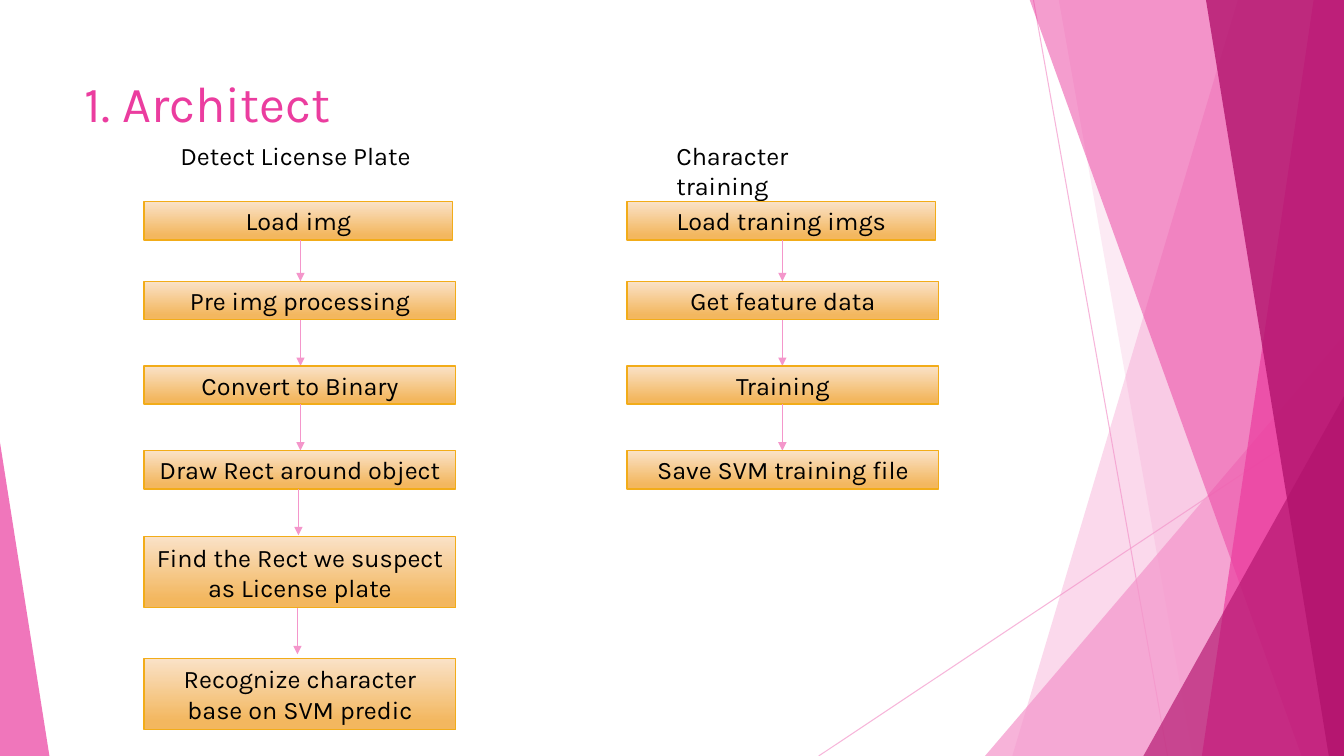
from lxml.etree import SubElement
from pptx import Presentation
from pptx.dml.color import RGBColor
from pptx.enum.shapes import MSO_CONNECTOR, MSO_SHAPE
from pptx.enum.text import MSO_ANCHOR, PP_ALIGN
from pptx.oxml.ns import qn
from pptx.util import Inches, Pt

FONT = "Karla"
COLORS = {
    "text": "000000",
    "pink": "EB3D9F",
    "light_pink": "F496CB",
    "magenta": "B2136D",
    "box_top": "FAE2C8",
    "box_bottom": "F3B75F",
    "box_line": "F2AC19",
}
SLIDE_WIDTH, SLIDE_HEIGHT = 13.33, 7.5
BLEED = -0.01
BOX_HEIGHT, TALL_BOX_HEIGHT = 0.38, 0.71
ARROW_LENGTH = 0.46

# Step: text, top, width, height, offset of the arrow that leaves it
PLATE_STEPS = [
    ("Load img", 2, 3.06, BOX_HEIGHT, 1.55),
    ("Pre img processing", 2.79, 3.09, BOX_HEIGHT, 1.55),
    ("Convert to Binary", 3.63, 3.09, BOX_HEIGHT, 1.55),
    ("Draw Rect around object", 4.47, 3.09, BOX_HEIGHT, 1.53),
    ("Find the Rect we suspect as License plate", 5.32, 3.09, TALL_BOX_HEIGHT, 1.52),
    ("Recognize character base on SVM predic", 6.53, 3.09, TALL_BOX_HEIGHT, None),
]
TRAINING_STEPS = [
    ("Load traning imgs", 2, 3.06, BOX_HEIGHT, 1.54),
    ("Get feature data", 2.79, 3.09, BOX_HEIGHT, 1.54),
    ("Training", 3.63, 3.09, BOX_HEIGHT, 1.54),
    ("Save SVM training file", 4.47, 3.09, BOX_HEIGHT, None),
]


def color(name):
    return RGBColor.from_string(COLORS[name])


def set_alpha(element, percent):
    for color_element in element.iter(qn("a:srgbClr")):
        SubElement(color_element, qn("a:alpha"), val=str(percent * 1000))


def write_text(text_frame, text, size, color_name, alignment=PP_ALIGN.LEFT):
    text_frame.word_wrap = True
    paragraph = text_frame.paragraphs[0]
    paragraph.alignment = alignment
    run = paragraph.add_run()
    run.text = text
    run.font.name = FONT
    run.font.size = Pt(size)
    run.font.color.rgb = color(color_name)


def add_line(slide, start, end, width, alpha=None, arrow=False):
    points = [Inches(value) for value in (*start, *end)]
    line = slide.shapes.add_connector(MSO_CONNECTOR.STRAIGHT, *points)
    line.line.color.rgb = color("light_pink")
    line.line.width = Pt(width)
    properties = line.element.spPr
    if alpha:
        set_alpha(properties, alpha)
    if arrow:
        SubElement(line.line._get_or_add_ln(), qn("a:tailEnd"), type="triangle")
    SubElement(properties, qn("a:effectLst"))


def paint_facet(shape, color_name, alpha):
    shape.shadow.inherit = False
    shape.fill.solid()
    shape.fill.fore_color.rgb = color(color_name)
    set_alpha(shape.element.spPr, alpha)
    shape.line.fill.background()


def add_edge_facet(slide, top_left, bottom_left, color_name, alpha):
    """A facet that reaches from a slanted left side to the right slide edge."""
    builder = slide.shapes.build_freeform(Inches(top_left), Inches(BLEED), scale=1.0)
    corners = [(SLIDE_WIDTH, BLEED), (SLIDE_WIDTH, SLIDE_HEIGHT), (bottom_left, SLIDE_HEIGHT)]
    builder.add_line_segments([(Inches(x), Inches(y)) for x, y in corners], close=True)
    paint_facet(builder.convert_to_shape(), color_name, alpha)


def add_triangle(slide, left, top, width, apex, color_name, alpha):
    """A triangle that stands on the lower slide edge."""
    shape = slide.shapes.add_shape(
        MSO_SHAPE.ISOSCELES_TRIANGLE,
        Inches(left), Inches(top), Inches(width), Inches(SLIDE_HEIGHT - top),
    )
    shape.adjustments[0] = apex
    paint_facet(shape, color_name, alpha)


def add_background(slide):
    add_line(slide, (10.25, 0), (11.58, SLIDE_HEIGHT), 0.75, alpha=70)
    add_line(slide, (SLIDE_WIDTH, 4.03), (8.12, SLIDE_HEIGHT), 0.75, alpha=70)
    add_edge_facet(slide, 12.28, 10.04, "light_pink", 36)
    add_edge_facet(slide, 10.5, 11.83, "light_pink", 20)
    add_triangle(slide, 9.77, 3.33, 3.56, 1, "light_pink", 72)
    add_edge_facet(slide, 10.21, 12.91, "pink", 50)
    add_edge_facet(slide, 13.03, 11.92, "pink", 70)
    add_edge_facet(slide, 11.96, 13.18, "magenta", 80)
    add_triangle(slide, 11.34, 3.93, 1.99, 1, "magenta", 66)
    add_triangle(slide, 0, 4.39, 0.49, 0, "pink", 70)


def add_title(slide, text):
    title = slide.shapes.title
    title.left, title.top = Inches(0.74), Inches(0.67)
    title.width, title.height = Inches(9.4), Inches(1.44)
    title.text_frame.vertical_anchor = MSO_ANCHOR.TOP
    write_text(title.text_frame, text, 36, "pink")


def add_heading(slide, text, left, width):
    box = slide.shapes.add_textbox(Inches(left), Inches(1.34), Inches(width), Inches(0.4))
    write_text(box.text_frame, text, 18, "text")


def add_step(slide, text, left, top, width, height):
    shape = slide.shapes.add_shape(
        MSO_SHAPE.RECTANGLE, Inches(left), Inches(top), Inches(width), Inches(height)
    )
    shape.shadow.inherit = False
    shape.fill.gradient()
    shape.fill.gradient_angle = 270
    stops = [(0, "box_top"), (0.88, "box_bottom")]
    for stop, (position, color_name) in zip(shape.fill.gradient_stops, stops):
        stop.position = position
        stop.color.rgb = color(color_name)
    shape.line.color.rgb = color("box_line")
    shape.line.width = Pt(1)
    shape.text_frame.vertical_anchor = MSO_ANCHOR.MIDDLE
    write_text(shape.text_frame, text, 18, "text", PP_ALIGN.CENTER)


def add_flow(slide, left, steps):
    for index, (text, top, width, height, arrow_offset) in enumerate(steps):
        add_step(slide, text, left, top, width, height)
        if arrow_offset is not None:
            x, bottom = left + arrow_offset, top + height
            end = min(bottom + ARROW_LENGTH, steps[index + 1][1])
            add_line(slide, (x, bottom), (x, end), 1, arrow=True)


def main():
    presentation = Presentation()
    presentation.slide_width = Inches(SLIDE_WIDTH)
    presentation.slide_height = Inches(SLIDE_HEIGHT)
    slide = presentation.slides.add_slide(presentation.slide_layouts[5])

    # Background and title
    add_background(slide)
    add_title(slide, "1. Architect")

    # Plate detection column
    add_heading(slide, "Detect License Plate", 1.69, 2.54)
    add_flow(slide, 1.43, PLATE_STEPS)

    # Character training column
    add_heading(slide, "Character training", 6.61, 2.27)
    add_flow(slide, 6.22, TRAINING_STEPS)

    presentation.save("out.pptx")


if __name__ == "__main__":
    main()
